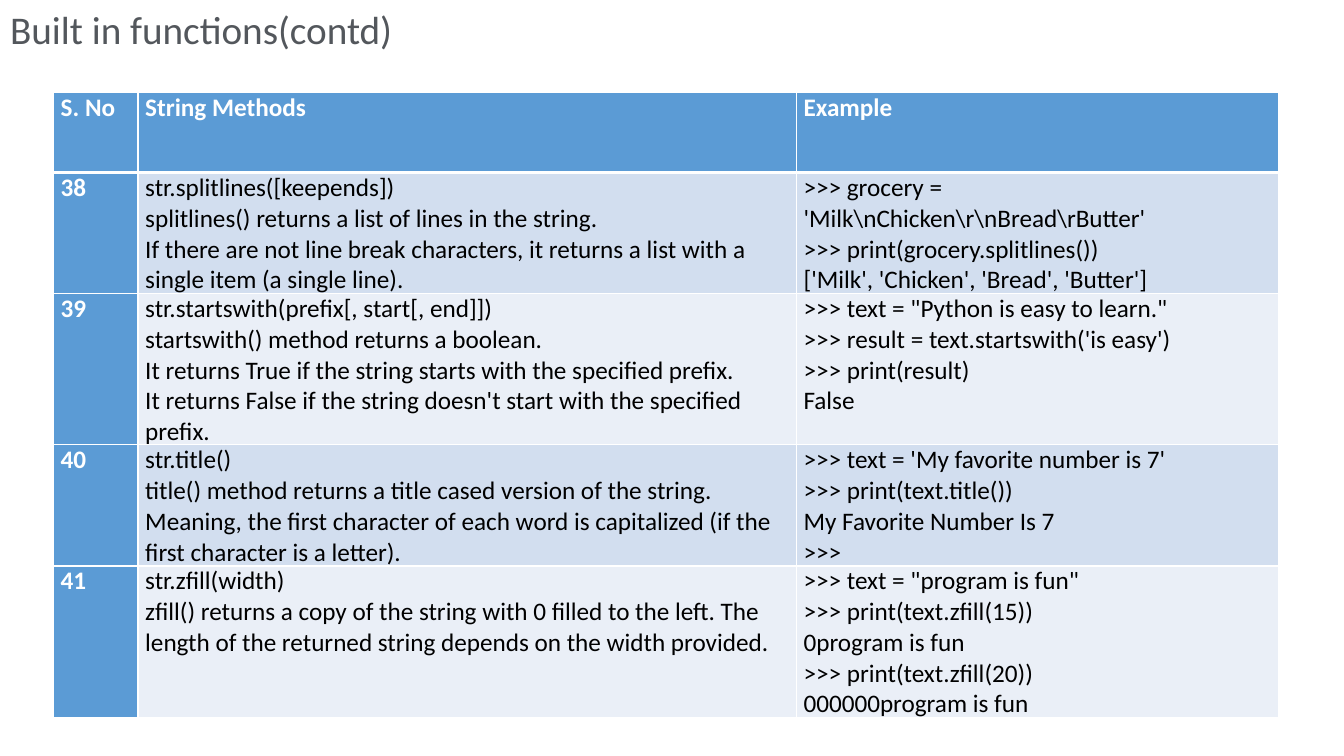
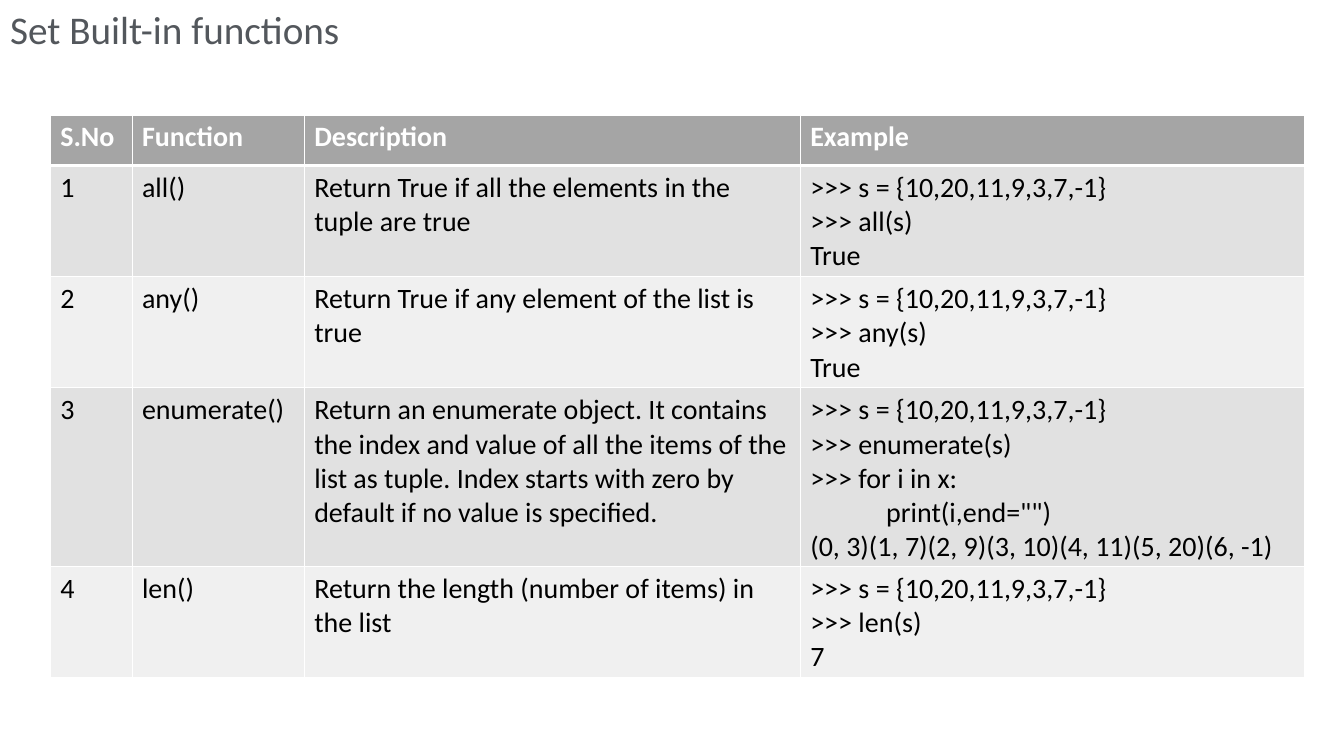
from dataclasses import dataclass

from lxml.etree import SubElement
from pptx import Presentation
from pptx.dml.color import RGBColor
from pptx.enum.text import MSO_ANCHOR, MSO_AUTO_SIZE, PP_ALIGN
from pptx.oxml.ns import qn
from pptx.presentation import Presentation as Deck
from pptx.slide import Slide
from pptx.table import _Cell as Cell
from pptx.util import Cm, Pt

FONT = "Calibri"
TITLE_ONLY = 5
COLORS = {
    "white": "FFFFFF",
    "black": "000000",
    "title_dark": "53575C",
    "title_light": "C5C7CA",
    "blue": "5B9BD5",
    "blue_band": "D2DEEF",
    "blue_pale": "EAEFF7",
    "gray": "A5A5A5",
    "gray_band": "E1E1E1",
    "gray_pale": "F0F0F0",
}


@dataclass(frozen=True)
class TableStyle:
    accent: str
    bands: tuple[str, str]
    size: int
    margin_x: float
    margin_y: float
    accent_column: bool


@dataclass(frozen=True)
class TablePage:
    title: str
    title_width: float
    left: float
    top: float
    columns: tuple[float, ...]
    heights: tuple[float, ...]
    style: TableStyle
    rows: tuple[tuple[str, ...], ...]


BLUE = TableStyle("blue", ("blue_band", "blue_pale"), 18, 0.18, 0, True)
GRAY = TableStyle("gray", ("gray_band", "gray_pale"), 20, 0.25, 0.13, False)
SET_LINE = ">>> s = {10,20,11,9,3,7,-1}\n"

PAGES = (
    TablePage(
        "Built in functions(contd)", 10.16, 1.35, 2.34,
        (2.13, 16.59, 12.14), (2.01, 3.05, 3.81, 3.05, 3.81), BLUE,
        (
            ("S. No", "String Methods", "Example"),
            (
                "38",
                "str.splitlines([keepends])\n"
                "splitlines() returns a list of lines in the string.\n"
                "If there are not line break characters, it returns a list "
                "with a single item (a single line).",
                ">>> grocery = 'Milk\\nChicken\\r\\nBread\\rButter'\n"
                ">>> print(grocery.splitlines())\n"
                "['Milk', 'Chicken', 'Bread', 'Butter']",
            ),
            (
                "39",
                "str.startswith(prefix[, start[, end]])\n"
                "startswith() method returns a boolean.\n"
                "It returns True if the string starts with the specified prefix.\n"
                "It returns False if the string doesn't start with the "
                "specified prefix.",
                '>>> text = "Python is easy to learn."\n'
                ">>> result = text.startswith('is easy')\n"
                ">>> print(result)\n"
                "False",
            ),
            (
                "40",
                "str.title()\n"
                "title() method returns a title cased version of the string. "
                "Meaning, the first character of each word is capitalized "
                "(if the first character is a letter).",
                ">>> text = 'My favorite number is 7'\n"
                ">>> print(text.title())\n"
                "My Favorite Number Is 7\n"
                ">>>",
            ),
            (
                "41",
                "str.zfill(width)\n"
                "zfill() returns a copy of the string with 0 filled to the "
                "left. The length of the returned string depends on the width "
                "provided.",
                '>>> text = "program is fun"\n'
                ">>> print(text.zfill(15))\n"
                "0program is fun\n"
                ">>> print(text.zfill(20))\n"
                "000000program is fun",
            ),
        ),
    ),
    TablePage(
        "Set Built-in functions", 8.86, 1.27, 2.9,
        (2.06, 4.34, 12.5, 12.7), (1.27, 2.79, 2.79, 4.5, 2.79), GRAY,
        (
            ("S.No", "Function", "Description", "Example"),
            (
                "1", "all()",
                "Return True if all the elements in the tuple are true",
                SET_LINE + ">>> all(s)\nTrue",
            ),
            (
                "2", "any()",
                "Return True if any element of the list is true",
                SET_LINE + ">>> any(s)\nTrue",
            ),
            (
                "3", "enumerate()",
                "Return an enumerate object. It contains the index and value "
                "of all the items of the list as tuple. Index starts with zero "
                "by default if no value is specified.",
                SET_LINE + ">>> enumerate(s)\n"
                ">>> for i in x:\n"
                '            print(i,end="")\n'
                "(0, 3)(1, 7)(2, 9)(3, 10)(4, 11)(5, 20)(6, -1)",
            ),
            (
                "4", "len()",
                "Return the length (number of items) in the list",
                SET_LINE + ">>> len(s)\n7",
            ),
        ),
    ),
)


def rgb(name: str) -> RGBColor:
    return RGBColor.from_string(COLORS[name])


def draw_title(page: Slide, text: str, width: float) -> None:
    box = page.shapes.title
    box.left, box.top, box.width, box.height = Cm(0), Cm(0), Cm(width), Cm(1.45)
    frame = box.text_frame
    frame.text = text
    frame.word_wrap = False
    frame.auto_size = MSO_AUTO_SIZE.SHAPE_TO_FIT_TEXT
    frame.vertical_anchor = MSO_ANCHOR.TOP
    para = frame.paragraphs[0]
    para.alignment = PP_ALIGN.LEFT
    span = para.runs[0]
    span.font.name, span.font.size = FONT, Pt(28)
    fill = span.font.fill
    fill.gradient()
    fill.gradient_angle = 270
    stops = ((0.21, "title_dark"), (0.88, "title_light"))
    for stop, (position, color) in zip(fill.gradient_stops, stops):
        stop.position = position
        stop.color.rgb = rgb(color)


def draw_borders(cell: Cell, row: int) -> None:
    properties = cell._tc.get_or_add_tcPr()
    thick_side = {0: "lnB", 1: "lnT"}.get(row)
    for side in ("lnL", "lnR", "lnT", "lnB"):
        weight = Pt(3 if side == thick_side else 1)
        line = SubElement(properties, qn(f"a:{side}"), w=str(weight))
        fill = SubElement(line, qn("a:solidFill"))
        SubElement(fill, qn("a:srgbClr"), val=COLORS["white"])


def draw_cell(cell: Cell, text: str, row: int, column: int, style: TableStyle) -> None:
    accented = row == 0 or (style.accent_column and column == 0)
    draw_borders(cell, row)
    cell.fill.solid()
    cell.fill.fore_color.rgb = rgb(style.accent if accented else style.bands[(row - 1) % 2])
    cell.margin_left = cell.margin_right = Cm(style.margin_x)
    cell.margin_top = cell.margin_bottom = Cm(style.margin_y)
    cell.text_frame.text = text
    for para in cell.text_frame.paragraphs:
        for span in para.runs:
            span.font.name, span.font.size = FONT, Pt(style.size)
            span.font.bold = accented
            span.font.color.rgb = rgb("white" if accented else "black")


def draw_table(page: Slide, content: TablePage) -> None:
    table = page.shapes.add_table(
        len(content.rows), len(content.columns), Cm(content.left), Cm(content.top),
        Cm(sum(content.columns)), Cm(sum(content.heights)),
    ).table
    table.horz_banding = False
    table.first_col = content.style.accent_column
    for column, width in zip(table.columns, content.columns):
        column.width = Cm(width)
    for row, height in zip(table.rows, content.heights):
        row.height = Cm(height)
    for row_index, texts in enumerate(content.rows):
        for column_index, text in enumerate(texts):
            cell = table.cell(row_index, column_index)
            draw_cell(cell, text, row_index, column_index, content.style)


def add_page(deck: Deck, content: TablePage) -> None:
    page = deck.slides.add_slide(deck.slide_layouts[TITLE_ONLY])
    draw_title(page, content.title, content.title_width)
    draw_table(page, content)


def main() -> None:
    deck = Presentation()
    deck.slide_width, deck.slide_height = Cm(33.87), Cm(19.05)
    for content in PAGES:
        add_page(deck, content)
    deck.save("out.pptx")


if __name__ == "__main__":
    main()
